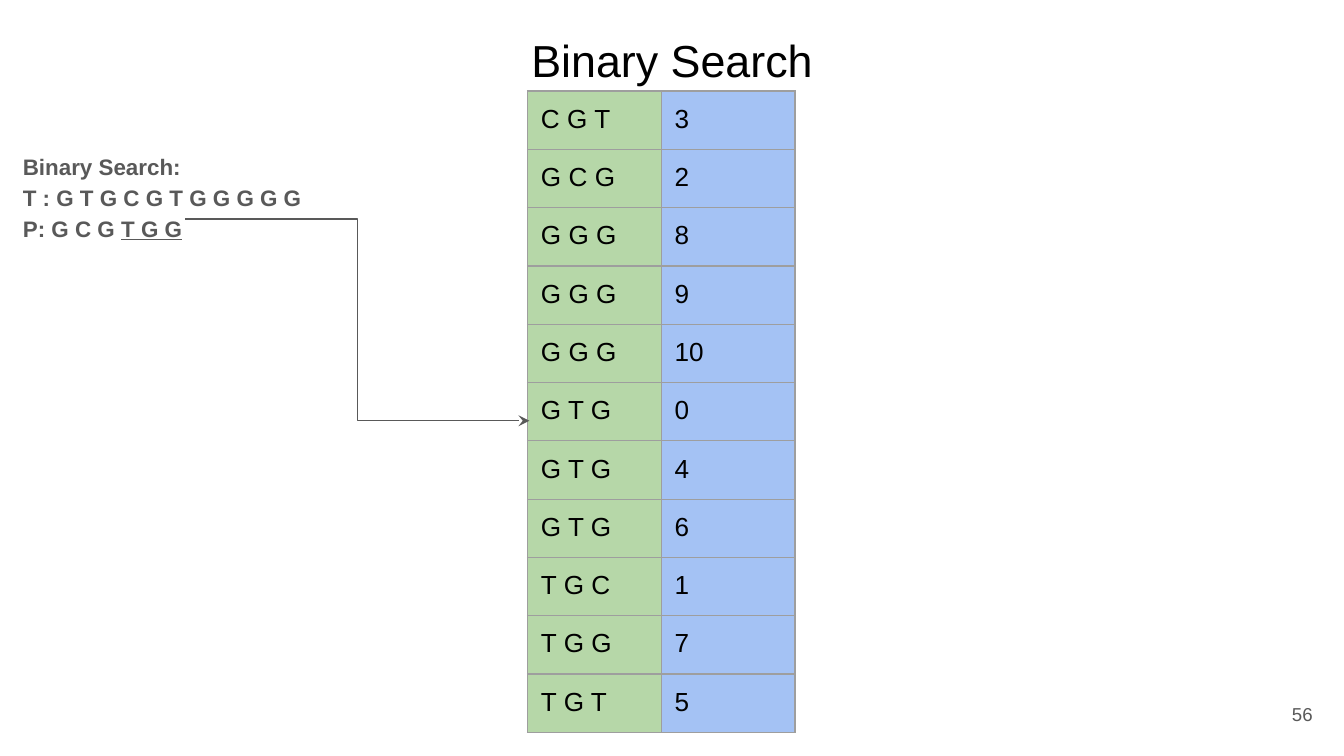
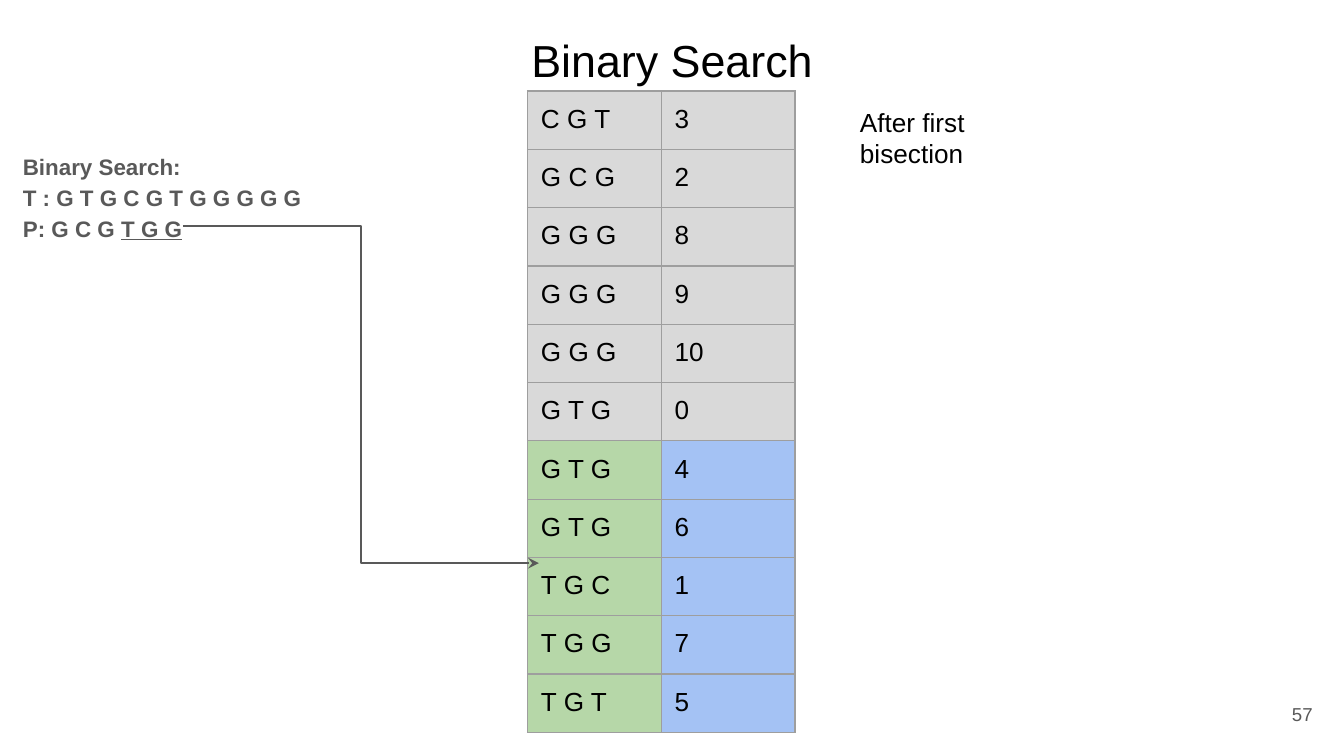
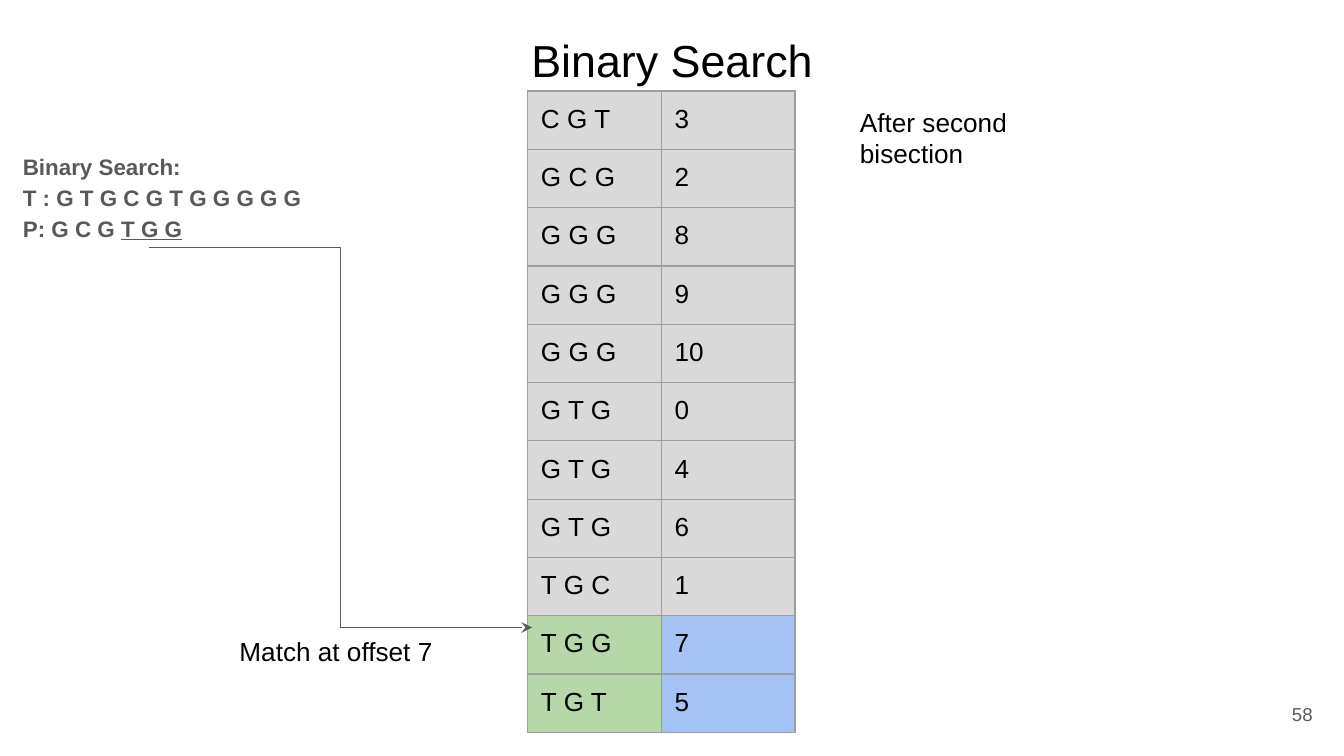
from lxml.etree import SubElement
from pptx import Presentation
from pptx.dml.color import RGBColor
from pptx.enum.shapes import MSO_CONNECTOR
from pptx.enum.text import MSO_ANCHOR, MSO_AUTO_SIZE, PP_ALIGN
from pptx.oxml.ns import qn
from pptx.util import Inches, Pt

FONT = "Arial"
BLACK, GREY = "000000", "595959"
BORDER, DISCARDED = "9E9E9E", "D9D9D9"
KMER_FILL, OFFSET_FILL = "B6D7A8", "A4C2F4"
SLIDE_WIDTH = Inches(10)
SLIDE_HEIGHT = SLIDE_WIDTH * 9 // 16
FIRST_PAGE_NUMBER = 56

INDEX = [
    ("C G T", 3), ("G C G", 2), ("G G G", 8), ("G G G", 9),
    ("G G G", 10), ("G T G", 0), ("G T G", 4), ("G T G", 6),
    ("T G C", 1), ("T G G", 7), ("T G T", 5),
]
TALL_ROWS = 2

# Each step: rows discarded, arrow start and end, notes as (text, area).
# Positions are percentages of the slide's width and height.
NOTE_AREA = (63, 12.27, 16.5, 11.91)
STEPS = [
    (0, (13.8, 29), (39.4, 55.67), []),
    (6, (13.6, 29.9), (40.1, 74.5),
     [("After first bisection", NOTE_AREA)]),
    (9, (11.1, 32.7), (39.6, 83),
     [("After second bisection", NOTE_AREA),
      ("Match at offset 7", (16.83, 82.31, 17.9, 7.82))]),
]


def color(value):
    return RGBColor.from_string(value)


def across(percent):
    return round(SLIDE_WIDTH * percent / 100)


def down(percent):
    return round(SLIDE_HEIGHT * percent / 100)


def area(left, top, width, height):
    return across(left), down(top), across(width), down(height)


def style(font, size, ink, bold=False):
    font.name, font.size, font.bold = FONT, Pt(size), bold
    font.color.rgb = color(ink)


def move(placeholder, *percents):
    (placeholder.left, placeholder.top,
     placeholder.width, placeholder.height) = area(*percents)
    placeholder.text_frame.auto_size = MSO_AUTO_SIZE.NONE


def fill_title(page):
    title = page.shapes.title
    move(title, 3.4, 2.31, 93.2, 11.2)
    title.text_frame.text = "Binary Search"
    title.text_frame.vertical_anchor = MSO_ANCHOR.MIDDLE
    para = title.text_frame.paragraphs[0]
    para.alignment = PP_ALIGN.CENTER
    style(para.runs[0].font, 24, BLACK)


def fill_body(page):
    body = page.placeholders[1]
    move(body, 0.7, 18.84, 93.2, 66.49)
    frame = body.text_frame
    frame.text = "Binary Search:\nT : G T G C G T G G G G G\nP: G C G "
    suffix = frame.paragraphs[-1].add_run()
    suffix.text = "T G G"
    for para in frame.paragraphs:
        properties = para._p.get_or_add_pPr()
        properties.set("marL", "0")
        properties.set("indent", "0")
        SubElement(properties, qn("a:buNone"))
        para.line_spacing = 1.15
        para.space_before = Pt(0)
        for span in para.runs:
            style(span.font, 12, GREY, bold=True)
    suffix.font.underline = True


def add_text(page, text, percents, size=14, ink=BLACK):
    box = page.shapes.add_textbox(*area(*percents))
    frame = box.text_frame
    frame.word_wrap = True
    frame.text = text
    style(frame.paragraphs[0].runs[0].font, size, ink)
    return frame


def add_note(page, text, percents):
    frame = add_text(page, text, percents)
    frame.margin_top = frame.margin_bottom = Inches(0.1)
    frame.auto_size = MSO_AUTO_SIZE.SHAPE_TO_FIT_TEXT


def add_page_number(page, number):
    frame = add_text(page, str(number), (92.65, 90.67, 6, 7.64), 10, GREY)
    frame.vertical_anchor = MSO_ANCHOR.MIDDLE
    frame.paragraphs[0].alignment = PP_ALIGN.RIGHT


def add_borders(cell):
    properties = cell._tc.get_or_add_tcPr()
    for side in ("lnL", "lnR", "lnT", "lnB"):
        line = SubElement(properties, qn(f"a:{side}"), w=str(Pt(0.75)))
        SubElement(SubElement(line, qn("a:solidFill")),
                   qn("a:srgbClr"), val=BORDER)


def format_cell(cell, text, fill):
    cell.text = text
    cell.margin_left = cell.margin_right = Inches(0.1)
    cell.margin_top = cell.margin_bottom = Inches(0.1)
    add_borders(cell)
    cell.fill.solid()
    cell.fill.fore_color.rgb = color(fill)
    para = cell.text_frame.paragraphs[0]
    para.line_spacing = 1.0
    style(para.runs[0].font, 14, BLACK)


def add_index_table(page, discarded):
    """Draw the sorted index with its first `discarded` rows greyed out."""
    holder = page.shapes.add_table(
        len(INDEX), 2, *area(39.25, 12.04, 19.9, 58.31))
    table = holder.table
    table.first_row = table.horz_banding = False
    for column in table.columns:
        column.width = across(9.95)
    for position, (kmer, offset) in enumerate(INDEX):
        table.rows[position].height = down(
            7.7 if position < TALL_ROWS else 6.04)
        fills = (KMER_FILL, OFFSET_FILL)
        if position < discarded:
            fills = (DISCARDED, DISCARDED)
        for column, text in enumerate((kmer, str(offset))):
            format_cell(table.cell(position, column), text, fills[column])
    holder.width, holder.height = across(32.8), down(58.31)


def add_elbow_arrow(page, start, end):
    arrow = page.shapes.add_connector(
        MSO_CONNECTOR.ELBOW, across(start[0]), down(start[1]),
        across(end[0]), down(end[1]))
    arrow.line.width = Pt(0.75)
    arrow.line.color.rgb = color(GREY)
    SubElement(arrow.line._get_or_add_ln(), qn("a:tailEnd"), type="stealth")
    SubElement(arrow._element.spPr, qn("a:effectLst"))


def main():
    deck = Presentation()
    deck.slide_width, deck.slide_height = SLIDE_WIDTH, SLIDE_HEIGHT
    for number, step in enumerate(STEPS, FIRST_PAGE_NUMBER):
        discarded, start, end, notes = step
        page = deck.slides.add_slide(deck.slide_layouts[1])
        fill_title(page)
        fill_body(page)
        add_page_number(page, number)
        add_index_table(page, discarded)
        add_elbow_arrow(page, start, end)
        for text, percents in notes:
            add_note(page, text, percents)
    deck.save("out.pptx")


if __name__ == "__main__":
    main()
